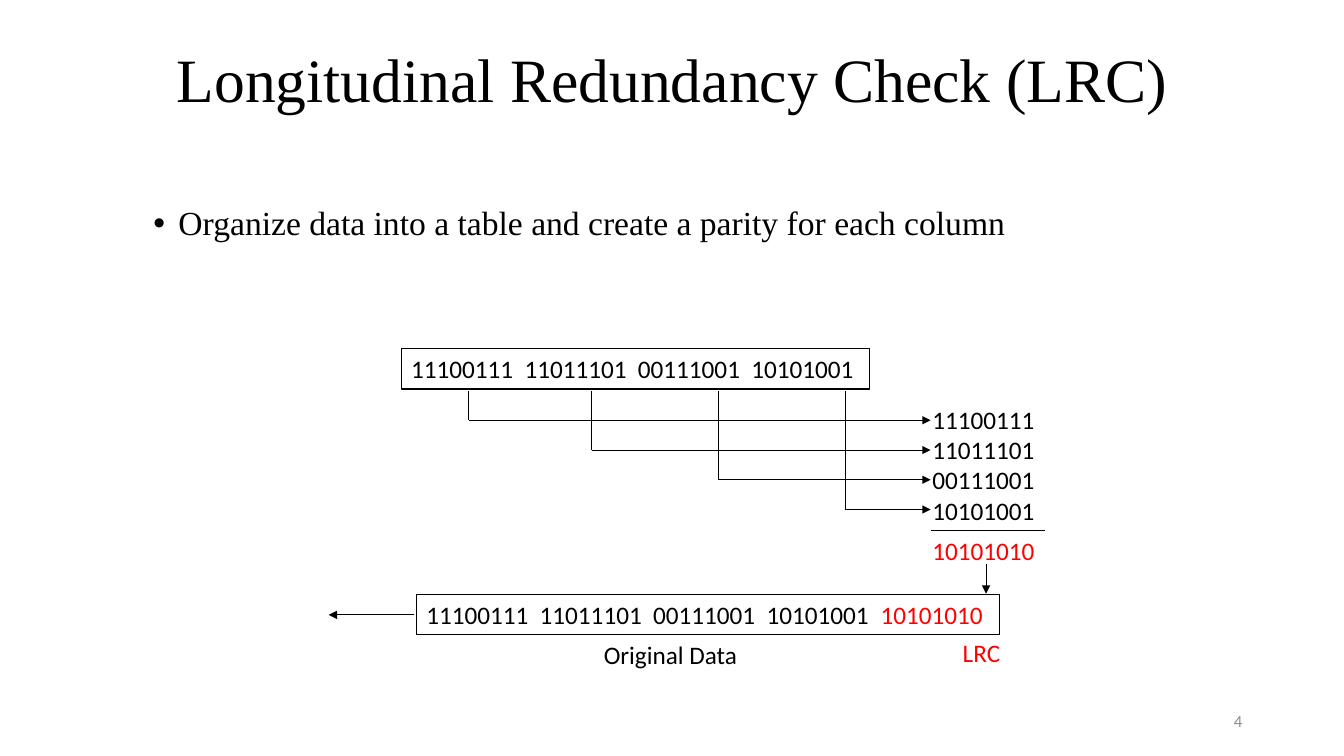
from pptx import Presentation, util as u
from pptx.dml.color import RGBColor
from pptx.enum import shapes, text
from pptx.oxml.ns import qn
from lxml import etree

# Grid of 0.1 inch columns and rows
COLUMNS, ROWS = 133.3, 75
CELL = u.Inches(0.1)
BLACK, RED, GREY = "000000", "FF0000", "8C8C8C"
SERIF, SANS = "Times New Roman", "Calibri"
BYTES = ["11100111", "11011101", "00111001", "10101001"]
PARITY = "10101010"
GAP = "  "


def colour(value):
    return RGBColor.from_string(value)


def cells(*counts):
    return [round(count * CELL) for count in counts]


def apply(target, formats):
    for name, value in formats.items():
        setattr(target, name, value)


def add_run(paragraph, words, size=18, face=SANS, ink=BLACK):
    run = paragraph.add_run()
    run.text = words
    apply(run.font, {"size": u.Pt(size), "name": face})
    run.font.color.rgb = colour(ink)


def move(placeholder, box):
    apply(placeholder, dict(zip(("left", "top", "width", "height"), cells(*box))))


def within(box, left, top, width, height):
    return box[0] + left, box[1] + top, width, height


def add_label(slide, box, lines, outlined=False, **style):
    """Each line is a list of (words, ink) parts."""
    if outlined:
        label = slide.shapes.add_shape(shapes.MSO_SHAPE.RECTANGLE, *cells(*box))
        label.shadow.inherit = False
        label.fill.background()
        label.line.color.rgb = colour(BLACK)
        label.line.width = u.Pt(0.75)
    else:
        label = slide.shapes.add_textbox(*cells(*box))
    frame = label.text_frame
    apply(frame, {"word_wrap": False, "auto_size": text.MSO_AUTO_SIZE.NONE,
                  "vertical_anchor": text.MSO_ANCHOR.TOP})
    for number, parts in enumerate(lines):
        paragraph = frame.add_paragraph() if number else frame.paragraphs[0]
        paragraph.alignment = text.PP_ALIGN.LEFT
        for words, ink in parts:
            add_run(paragraph, words, ink=ink, **style)
    return label


def add_line(slide, box, start, end, arrow=False):
    ends = cells(box[0] + start[0], box[1] + start[1], box[0] + end[0], box[1] + end[1])
    line = slide.shapes.add_connector(shapes.MSO_CONNECTOR.STRAIGHT, *ends)
    line.line.color.rgb = colour(BLACK)
    line.line.width = u.Pt(0.75)
    if arrow:
        etree.SubElement(line.line._get_or_add_ln(), qn("a:tailEnd"), type="triangle")
    etree.SubElement(line._element.spPr, qn("a:effectLst"))


def fill_title(slide, box):
    title = slide.shapes.title
    move(title, box)
    apply(title.text_frame, {"vertical_anchor": text.MSO_ANCHOR.TOP, "margin_top": u.Inches(0.09),
                             "auto_size": text.MSO_AUTO_SIZE.NONE, "word_wrap": True})
    heading = title.text_frame.paragraphs[0]
    apply(heading, {"alignment": text.PP_ALIGN.CENTER, "line_spacing": 0.9})
    add_run(heading, "Longitudinal Redundancy Check (LRC)", 44, SERIF)


def fill_body(slide, box):
    body = slide.placeholders[1]
    move(body, box)
    body.text_frame.auto_size = text.MSO_AUTO_SIZE.NONE
    rule = body.text_frame.paragraphs[0]
    apply(rule, {"level": 1, "line_spacing": 0.9, "space_before": u.Pt(5)})
    add_run(rule, "Organize data into a table and create a parity for each column", 24, SERIF)
    props = rule._p.get_or_add_pPr()
    props.set("marL", str(u.Inches(0.75)))
    props.set("indent", str(u.Inches(-0.25)))
    etree.SubElement(props, qn("a:buFont"), typeface="Arial")
    etree.SubElement(props, qn("a:buChar"), char="•")


def draw_parity_diagram(slide, box):
    # Data before the check
    data = GAP.join(BYTES)
    add_label(slide, within(box, 7.2, 0, 46.4, 4), [[(data, BLACK)]], outlined=True)

    # Bytes stacked as a table, each led there by an elbow
    table_left, table_right = 59.7, 71
    add_label(slide, within(box, 58.9, 5, 12.3, 13.1), [[(byte, BLACK)] for byte in BYTES])
    for row, byte_centre in enumerate((13.9, 26.1, 38.7, 51.3)):
        level = 7.1 + 2.95 * row
        add_line(slide, box, (byte_centre, 4.2), (byte_centre, level))
        add_line(slide, box, (byte_centre, level), (table_left, level), arrow=True)

    # Column parity
    add_line(slide, box, (table_left, 18), (table_right, 18))
    add_label(slide, within(box, 58.9, 18, 12.3, 4), [[(PARITY, RED)]])
    add_line(slide, box, (65.2, 21.4), (65.2, 24.3), arrow=True)

    # Data sent with its parity
    add_label(slide, within(box, 8.7, 24.4, 57.8, 4),
              [[(data + GAP, BLACK), (PARITY, RED)]], outlined=True)
    add_line(slide, box, (8.5, 26.4), (0, 26.4), arrow=True)
    add_label(slide, within(box, 26.3, 28.3, 15.4, 4), [[("Original Data", BLACK)]])
    add_label(slide, within(box, 61.9, 28.1, 5.8, 4), [[("LRC", RED)]])


def add_page_number(slide, box):
    number = add_label(slide, box, [[("4", GREY)]], size=12)
    apply(number.text_frame, {"vertical_anchor": text.MSO_ANCHOR.MIDDLE, "word_wrap": True})
    number.text_frame.paragraphs[0].alignment = text.PP_ALIGN.RIGHT


deck = Presentation()
deck.slide_width, deck.slide_height = cells(COLUMNS, ROWS)
lrc_slide = deck.slides.add_slide(deck.slide_layouts[1])
add_page_number(lrc_slide, (94.2, 69.5, 30, 4))
fill_title(lrc_slide, (9.2, 4, 115, 14.5))
fill_body(lrc_slide, (9.2, 20, 115, 47.6))
draw_parity_diagram(lrc_slide, (32.6, 34.6))
deck.save("out.pptx")
